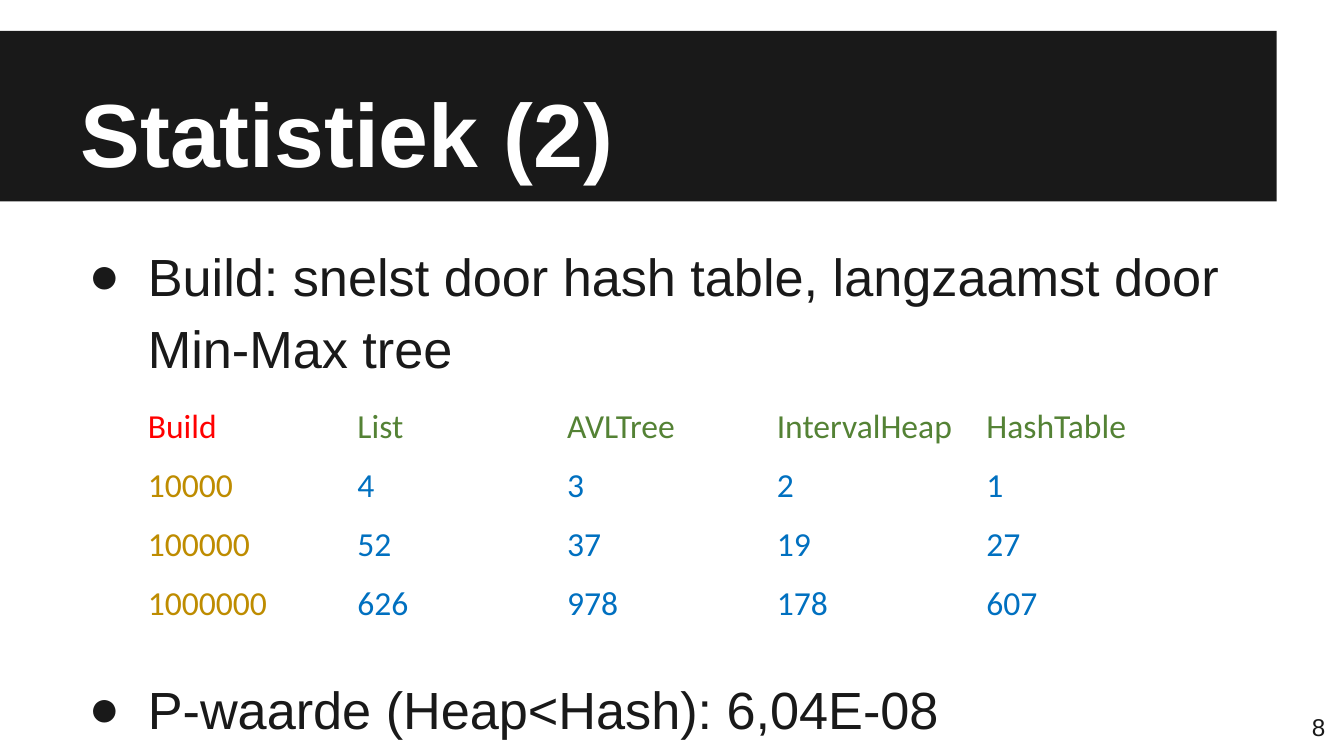
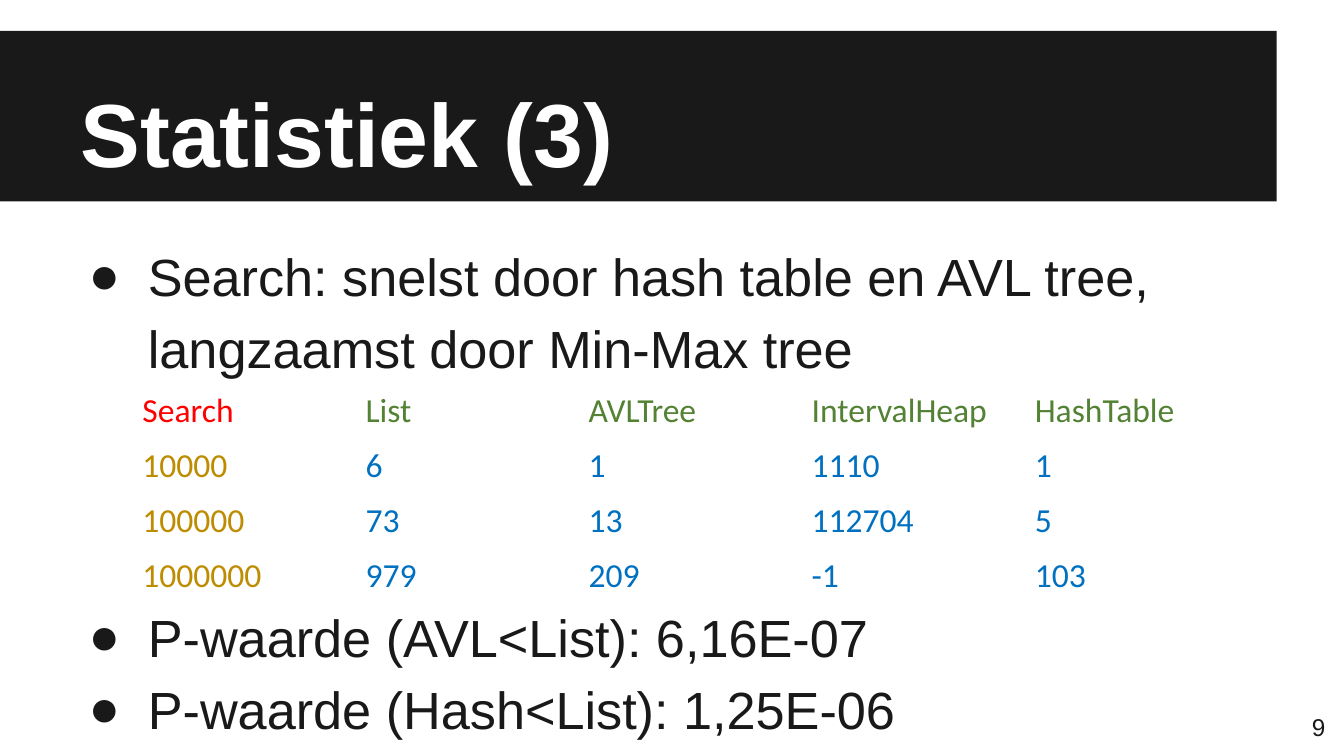
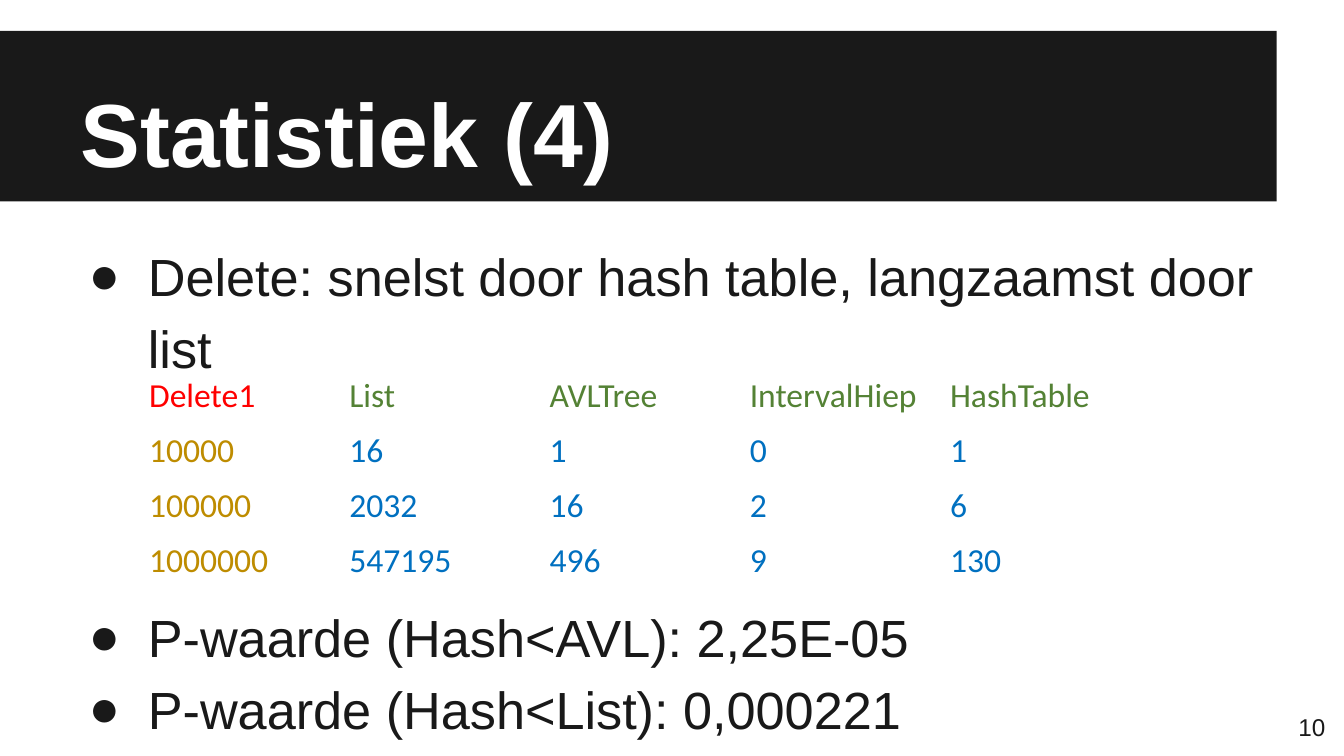
"""Build three statistics slides, each with a timing table and P-values."""
from dataclasses import dataclass

from lxml import etree
from pptx import Presentation
from pptx.dml.color import RGBColor
from pptx.enum import shapes, text
from pptx.oxml import ns
from pptx.util import Inches, Pt


@dataclass(frozen=True)
class Theme:
    """Colours, fonts and type sizes of the deck."""
    dark: str = "191919"
    white: str = "FFFFFF"
    corner: str = "FF0000"
    structure: str = "548235"
    count: str = "BE8C00"
    value: str = "0070C0"
    font: str = "Arial"
    table_font: str = "Calibri"
    title_size: float = 48
    body_size: float = 28
    table_size: float = 18
    number_size: float = 13
    line_spacing: float = 1.15
    line_pitch: float = 38.6


@dataclass(frozen=True)
class Box:
    """A rectangle in inches."""
    x: float
    y: float
    w: float
    h: float

    def emu(self) -> tuple:
        """Return left, top, width and height as lengths."""
        return tuple(Inches(v) for v in (self.x, self.y, self.w, self.h))


@dataclass(frozen=True)
class Timing:
    """A table of timings: its corner, column widths and row heights."""
    x: float
    y: float
    widths: tuple
    heights: tuple
    rows: tuple


@dataclass(frozen=True)
class Statistic:
    """The content of one slide."""
    number: int
    title: str
    finding: str
    gap_lines: int
    p_values: tuple
    timing: Timing


THEME = Theme()
BAND = Box(0, 0.23, 9.5, 1.27)
TITLE = Box(0.5, 0.23, 9, 1.25)
BODY = Box(0.5, 1.65, 9, 3.79)
NUMBER = Box(9.36, 5.19, 0.6, 0.43)
INSET = 0.1

STATISTICS = (
    Statistic(
        8, "Statistiek (2)",
        "Build: snelst door hash table, langzaamst door Min-Max tree", 4,
        ("P-waarde (Heap<Hash): 6,04E-08",),
        Timing(1.09, 3.01, (1.56,) * 4 + (1.19,), (0.32,) + (0.44,) * 3, (
            ("Build", "List", "AVLTree", "IntervalHeap", "HashTable"),
            (10000, 4, 3, 2, 1),
            (100000, 52, 37, 19, 27),
            (1000000, 626, 978, 178, 607)))),
    Statistic(
        9, "Statistiek (3)",
        "Search: snelst door hash table en AVL tree, langzaamst door Min-Max tree", 3,
        ("P-waarde (AVL<List): 6,16E-07", "P-waarde (Hash<List): 1,25E-06"),
        Timing(1.05, 2.8, (1.66,) * 5, (0.41,) * 4, (
            ("Search", "List", "AVLTree", "IntervalHeap", "HashTable"),
            (10000, 6, 1, 1110, 1),
            (100000, 73, 13, 112704, 5),
            (1000000, 979, 209, -1, 103)))),
    Statistic(
        10, "Statistiek (4)",
        "Delete: snelst door hash table, langzaamst door list", 3,
        ("P-waarde (Hash<AVL): 2,25E-05", "P-waarde (Hash<List): 0,000221"),
        Timing(1.1, 2.73, (1.49,) * 4 + (2.62,), (0.37,) + (0.41,) * 3, (
            ("Delete1", "List", "AVLTree", "IntervalHiep", "HashTable"),
            (10000, 16, 1, 0, 1),
            (100000, 2032, 16, 2, 6),
            (1000000, 547195, 496, 9, 130)))),
)


def write(p, words: str, *, size: float, color: str = THEME.dark, font: str = THEME.font,
          bold: bool = False, align=text.PP_ALIGN.LEFT) -> None:
    """Add a formatted run to a paragraph."""
    p.alignment = align
    r = p.add_run()
    r.text = words
    r.font.size = Pt(size)
    r.font.name = font
    r.font.bold = bold
    r.font.color.rgb = RGBColor.from_string(color)


def place(sp, box: Box, anchor):
    """Move a shape and return its text frame, set to the common insets."""
    sp.left, sp.top, sp.width, sp.height = box.emu()
    tf = sp.text_frame
    tf.word_wrap = True
    tf.auto_size = text.MSO_AUTO_SIZE.NONE
    tf.vertical_anchor = anchor
    tf.margin_left = tf.margin_right = tf.margin_top = tf.margin_bottom = Inches(INSET)
    return tf


def set_bullet(p) -> None:
    """Give a paragraph a hanging round bullet."""
    pPr = p._p.get_or_add_pPr()
    pPr.set("marL", str(Inches(0.5)))
    pPr.set("indent", str(Inches(-0.44)))
    color = etree.SubElement(pPr, ns.qn("a:buClr"))
    etree.SubElement(color, ns.qn("a:srgbClr"), val=THEME.dark)
    etree.SubElement(pPr, ns.qn("a:buFont"), typeface=THEME.font)
    etree.SubElement(pPr, ns.qn("a:buChar"), char="●")


def add_list(sp, stat: Statistic) -> None:
    """Write the finding and, below room for the table, the P-values."""
    tf = place(sp, BODY, text.MSO_ANCHOR.TOP)
    for i, words in enumerate((stat.finding, *stat.p_values)):
        p = tf.paragraphs[0] if i == 0 else tf.add_paragraph()
        p.line_spacing = THEME.line_spacing
        p.space_before = Pt(stat.gap_lines * THEME.line_pitch if i == 1 else 0)
        p.space_after = Pt(0)
        set_bullet(p)
        write(p, words, size=THEME.body_size)


def cell_color(row: int, col: int) -> str:
    """Pick the text colour of a table cell from its place."""
    if row == 0:
        return THEME.structure if col else THEME.corner
    return THEME.value if col else THEME.count


def clear_cell(cell) -> None:
    """Remove the fill and the borders of a table cell."""
    cell.fill.background()
    tcPr = cell._tc.get_or_add_tcPr()
    for i, side in enumerate(("a:lnL", "a:lnR", "a:lnT", "a:lnB")):
        line = etree.Element(ns.qn(side))
        etree.SubElement(line, ns.qn("a:noFill"))
        tcPr.insert(i, line)


def add_timing(s, timing: Timing) -> None:
    """Draw a plain table of timings."""
    box = Box(timing.x, timing.y, sum(timing.widths), sum(timing.heights))
    table = s.shapes.add_table(len(timing.heights), len(timing.widths), *box.emu()).table
    table.first_row = table.horz_banding = False
    for column, width in zip(table.columns, timing.widths):
        column.width = Inches(width)
    for i, (height, values) in enumerate(zip(timing.heights, timing.rows)):
        table.rows[i].height = Inches(height)
        for j, value in enumerate(values):
            cell = table.cell(i, j)
            clear_cell(cell)
            cell.vertical_anchor = text.MSO_ANCHOR.BOTTOM
            cell.margin_left = cell.margin_right = cell.margin_top = Inches(0.01)
            cell.margin_bottom = 0
            write(cell.text_frame.paragraphs[0], str(value), size=THEME.table_size,
                  color=cell_color(i, j), font=THEME.table_font)


def add_band(s) -> None:
    """Draw the title band and hand it to the slide's layout."""
    band = s.shapes.add_shape(shapes.MSO_SHAPE.RECTANGLE, *BAND.emu())
    band.shadow.inherit = False
    band.fill.solid()
    band.fill.fore_color.rgb = RGBColor.from_string(THEME.dark)
    band.line.fill.background()
    s.slide_layout.shapes.element.insert(2, band.element)


def add_statistic(prs, layout, stat: Statistic):
    """Add one statistics slide."""
    s = prs.slides.add_slide(layout)
    tf = place(s.shapes.title, TITLE, text.MSO_ANCHOR.BOTTOM)
    write(tf.paragraphs[0], stat.title, size=THEME.title_size, color=THEME.white, bold=True)
    add_list(s.placeholders[1], stat)
    tf = place(s.shapes.add_textbox(*NUMBER.emu()), NUMBER, text.MSO_ANCHOR.MIDDLE)
    write(tf.paragraphs[0], str(stat.number), size=THEME.number_size,
          align=text.PP_ALIGN.RIGHT)
    add_timing(s, stat.timing)
    return s


def main() -> None:
    """Build and save the deck."""
    prs = Presentation()
    prs.slide_width = Inches(10)
    prs.slide_height = prs.slide_width * 9 // 16
    layout = prs.slide_layouts[1]
    slides = [add_statistic(prs, layout, stat) for stat in STATISTICS]
    add_band(slides[0])
    prs.save("out.pptx")


if __name__ == "__main__":
    main()
